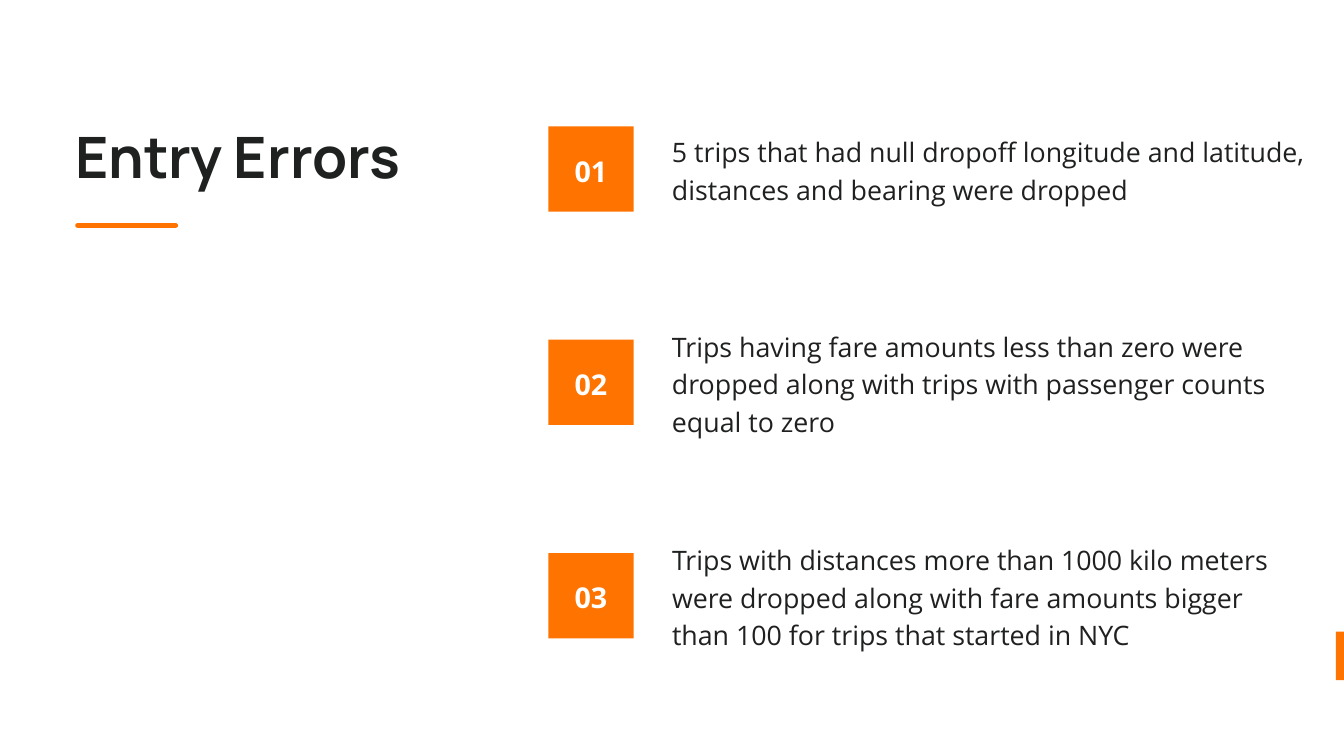
"""Build the Entry Errors slide: a title and three numbered cleaning rules."""
from dataclasses import dataclass

from pptx import Presentation
from pptx.dml.color import RGBColor
from pptx.enum.shapes import MSO_SHAPE
from pptx.enum.text import PP_ALIGN
from pptx.slide import Slide
from pptx.util import Inches, Length, Pt


@dataclass(frozen=True)
class Theme:
    accent: str = "FF7300"
    ink: str = "1F2020"
    paper: str = "FFFFFF"
    heading_font: str = "Manrope"
    body_font: str = "Open Sans"
    title_size: float = 61.1
    number_size: float = 30.7
    body_size: float = 28.7
    title_leading: float = 71.5
    number_leading: float = 43
    body_leading: float = 40.2


@dataclass(frozen=True)
class Box:
    col: float
    row: float
    cols: float
    rows: float

    def emu(self) -> tuple[Length, ...]:
        return tuple(Inches(v * CELL) for v in (self.col, self.row, self.cols, self.rows))


@dataclass(frozen=True)
class Rule:
    text: str
    lines: int
    cols: float


THEME = Theme()
CELL = 1
COLS, ROWS = 20, 11.25
MARGIN = 1.12
BADGE_COL, BADGE_SIZE = 8.16, 1.27
FIRST_ROW, ROW_PITCH = 1.88, 3.175
BODY_COL, LINE_ROWS = 10, 0.56

RULES = (
    Rule("5 trips that had null dropoff longitude and latitude, "
         "distances and bearing were dropped", 2, 9.7),
    Rule("Trips having fare amounts less than zero were dropped along with "
         "trips with passenger counts equal to zero", 3, 9.6),
    Rule("Trips with distances more than 1000 kilo meters were dropped along with "
         "fare amounts bigger than 100 for trips that started in NYC", 3, 9.25),
)


def add_block(s: Slide, box: Box, shape: MSO_SHAPE = MSO_SHAPE.RECTANGLE) -> None:
    """Draw a solid accent shape without outline."""
    sp = s.shapes.add_shape(shape, *box.emu())
    sp.shadow.inherit = False
    sp.fill.solid()
    sp.fill.fore_color.rgb = RGBColor.from_string(THEME.accent)
    sp.line.fill.background()
    if shape == MSO_SHAPE.ROUNDED_RECTANGLE:
        sp.adjustments[0] = 0.5


def add_text(s: Slide, box: Box, text: str, *, size: float, leading: float,
             font: str = THEME.body_font, color: str = THEME.ink,
             bold: bool = False, align: PP_ALIGN = PP_ALIGN.LEFT) -> None:
    """Write one wrapped paragraph in a text box without insets."""
    tf = s.shapes.add_textbox(*box.emu()).text_frame
    tf.word_wrap = True
    tf.margin_left = tf.margin_top = tf.margin_right = tf.margin_bottom = 0
    p = tf.paragraphs[0]
    p.alignment = align
    p.line_spacing = Pt(leading)
    r = p.add_run()
    r.text = text
    r.font.name = font
    r.font.size = Pt(size)
    r.font.bold = bold
    r.font.color.rgb = RGBColor.from_string(color)


def add_rule(s: Slide, index: int, rule: Rule) -> None:
    """Draw a numbered badge with its rule centred beside it."""
    top = FIRST_ROW + index * ROW_PITCH
    add_block(s, Box(BADGE_COL, top, BADGE_SIZE, BADGE_SIZE))
    height = rule.lines * LINE_ROWS - 0.04
    body_top = top + (BADGE_SIZE - height) / 2 - 0.03
    add_text(s, Box(BODY_COL, body_top, rule.cols, height), rule.text,
             size=THEME.body_size, leading=THEME.body_leading)
    add_text(s, Box(BADGE_COL + 0.17, top + 0.32, 0.93, 0.56), f"{index + 1:02}",
             size=THEME.number_size, leading=THEME.number_leading,
             color=THEME.paper, bold=True, align=PP_ALIGN.CENTER)


def main() -> None:
    """Create the presentation and save it."""
    prs = Presentation()
    prs.slide_width, prs.slide_height = Inches(COLS * CELL), Inches(ROWS * CELL)
    s = prs.slides.add_slide(prs.slide_layouts[6])
    s.background.fill.solid()
    s.background.fill.fore_color.rgb = RGBColor.from_string(THEME.paper)
    add_block(s, Box(COLS - 0.12, 9.4, 0.12, 0.72))
    for index, rule in enumerate(RULES):
        add_rule(s, index, rule)
    add_block(s, Box(MARGIN, 3.32, 1.53, 0.07), MSO_SHAPE.ROUNDED_RECTANGLE)
    add_text(s, Box(MARGIN, 1.83, 5.14, 1.06), "Entry Errors",
             size=THEME.title_size, leading=THEME.title_leading,
             font=THEME.heading_font, bold=True)
    prs.save("out.pptx")


if __name__ == "__main__":
    main()
